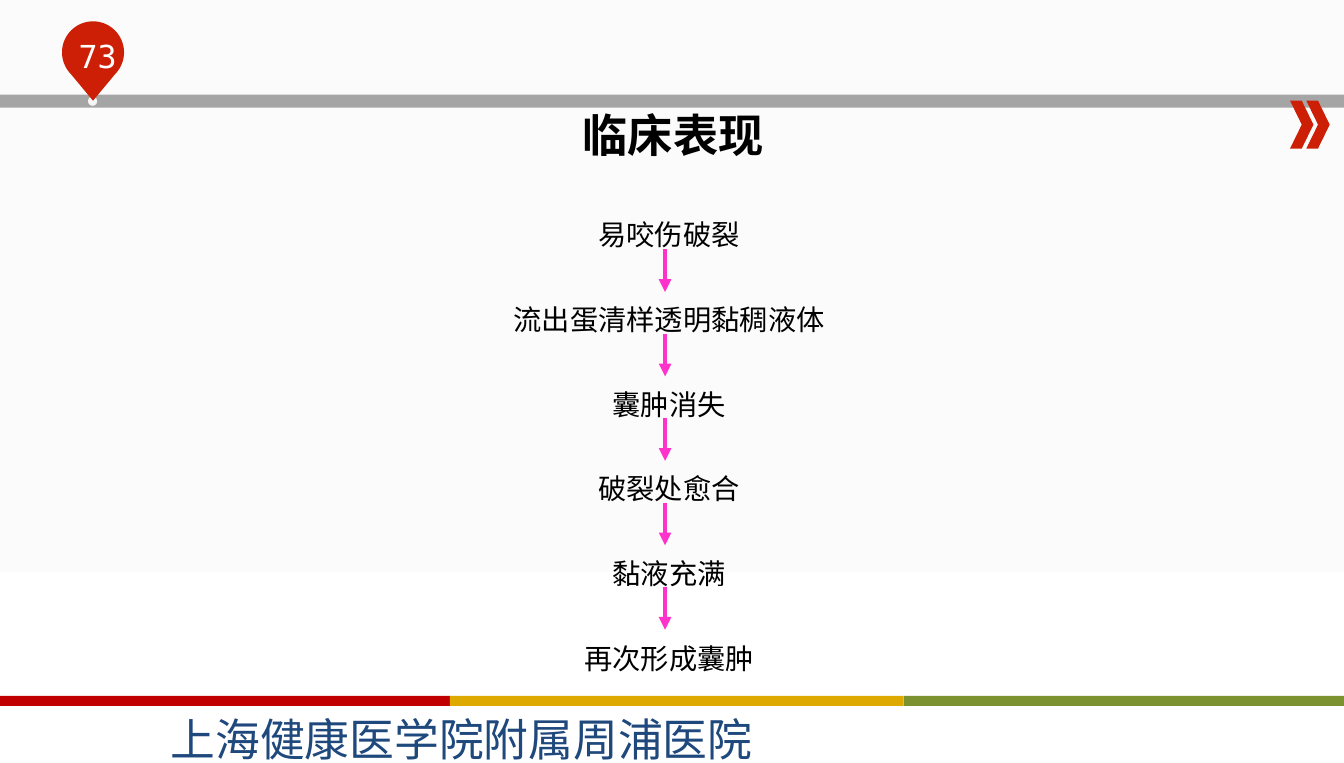
from math import cos, sin, radians
from lxml.etree import SubElement
from pptx import Presentation
from pptx.dml.color import RGBColor
from pptx.enum.shapes import MSO_CONNECTOR, MSO_SHAPE
from pptx.enum.text import MSO_ANCHOR, PP_ALIGN
from pptx.oxml.ns import qn
from pptx.util import Emu, Inches, Pt

WHITE = RGBColor(0xFF, 0xFF, 0xFF)
PALE = RGBColor(0xFB, 0xFB, 0xFB)
DOT = RGBColor(0xF6, 0xF6, 0xF6)
GRAY = RGBColor(0xA5, 0xA5, 0xA5)
RED = RGBColor(0xCD, 0x1F, 0x06)
CRIMSON = RGBColor(0xC0, 0x00, 0x00)
GOLD = RGBColor(0xDE, 0xA9, 0x00)
GREEN = RGBColor(0x7C, 0x91, 0x2F)
NAVY = RGBColor(0x1F, 0x49, 0x7D)
PINK = RGBColor(0xFF, 0x33, 0xCC)
BLACK = RGBColor(0, 0, 0)

WIDTH, HEIGHT = Emu(12084050), Inches(7.5)
SERIF = "Times New Roman"
STEPS = ["易咬伤破裂", "流出蛋清样透明黏稠液体", "囊肿消失",
         "破裂处愈合", "黏液充满", "再次形成囊肿"]


def paint(shape, color):
    shape.shadow.inherit = False
    shape.fill.solid()
    shape.fill.fore_color.rgb = color
    shape.line.fill.background()


def block(slide, kind, box, color):
    shape = slide.shapes.add_shape(kind, *map(Inches, box))
    paint(shape, color)


def write(shape, text, font, size, color, bold=False,
          align=PP_ALIGN.CENTER, anchor=MSO_ANCHOR.TOP, wrap=False, space=1.0):
    frame = shape.text_frame
    frame.word_wrap = wrap
    frame.vertical_anchor = anchor
    para = frame.paragraphs[0]
    para.text = text
    para.alignment = align
    para.line_spacing = space
    para.space_before = Pt(0)
    para.font.name = font
    para.font.size = Pt(size)
    para.font.bold = bold
    para.font.color.rgb = color


def label(slide, box, *args, **style):
    write(slide.shapes.add_textbox(*map(Inches, box)), *args, **style)


def backdrop(slide):
    fill = slide.background.fill
    fill.gradient()
    fill.gradient_angle = 270
    for stop, color, place in zip(fill.gradient_stops, (PALE, WHITE), (0.5, 1)):
        stop.color.rgb = color
        stop.position = place


def header(slide, left, top, width):
    block(slide, MSO_SHAPE.RECTANGLE, (left, top, width, 0.13), GRAY)
    for shift in (0.53, 0.37):
        block(slide, MSO_SHAPE.CHEVRON,
              (left + width - shift, top + 0.06, 0.23, 0.47), RED)


def marker(slide, left, top, size, number):
    rad = size / 2
    mid, hub = left + rad, top + rad
    block(slide, MSO_SHAPE.OVAL, (mid - 0.05, top + 0.74, 0.09, 0.09), DOT)
    arc = [(Inches(mid + rad * cos(radians(turn))),
            Inches(hub + rad * sin(radians(turn))))
           for turn in range(135, 406, 5)]
    form = slide.shapes.build_freeform(Inches(mid), Inches(top + 0.78))
    form.add_line_segments(arc, close=True)
    paint(form.convert_to_shape(), RED)
    label(slide, (left - 0.08, top + 0.1, 0.86, 0.41), number,
          "DejaVu Sans Mono", 22.4, WHITE)


def footer(slide, left, top, width):
    part = width / 3
    for i, color in enumerate((CRIMSON, GOLD, GREEN)):
        block(slide, MSO_SHAPE.RECTANGLE,
              (left + i * part, top, part, 0.1), color)
    label(slide, (left + 1.62, top + 0.11, 5.92, 0.63),
          "上海健康医学院附属周浦医院", "Noto Sans CJK SC", 31.7, NAVY,
          align=PP_ALIGN.LEFT)


def heading(slide, left, top, width, height):
    title = slide.shapes.title
    title.left, title.top = Inches(left), Inches(top)
    title.width, title.height = Inches(width), Inches(height)
    write(title, "临床表现", SERIF, 32, BLACK, bold=True)


def arrow(slide, x, top, length):
    line = slide.shapes.add_connector(
        MSO_CONNECTOR.STRAIGHT, Inches(x), Inches(top),
        Inches(x), Inches(top + length))
    line.line.color.rgb = PINK
    line.line.width = Pt(3)
    SubElement(line.line._get_or_add_ln(), qn("a:tailEnd"), type="triangle")
    SubElement(line._element.spPr, qn("a:effectLst"))


def flow(slide, left, top, width, height):
    label(slide, (left, top, width, height), "\v".join(STEPS), SERIF, 20,
          BLACK, anchor=MSO_ANCHOR.MIDDLE, wrap=True, space=2.5)
    for i in range(len(STEPS) - 1):
        arrow(slide, left + width / 2 - 0.04, top - 1.06 + i * 0.83, 0.42)


def main():
    deck = Presentation()
    deck.slide_width, deck.slide_height = WIDTH, HEIGHT
    slide = deck.slides.add_slide(deck.slide_layouts[5])
    backdrop(slide)
    header(slide, 0, 0.93, WIDTH.inches)
    marker(slide, 0.61, 0.21, 0.61, "73")
    footer(slide, -0.04, 6.84, 13.39)
    heading(slide, 5.62, 1, 2, 0.64)
    flow(slide, 3.87, 3.51, 5.42, 1.25)
    deck.save("out.pptx")


if __name__ == "__main__":
    main()
